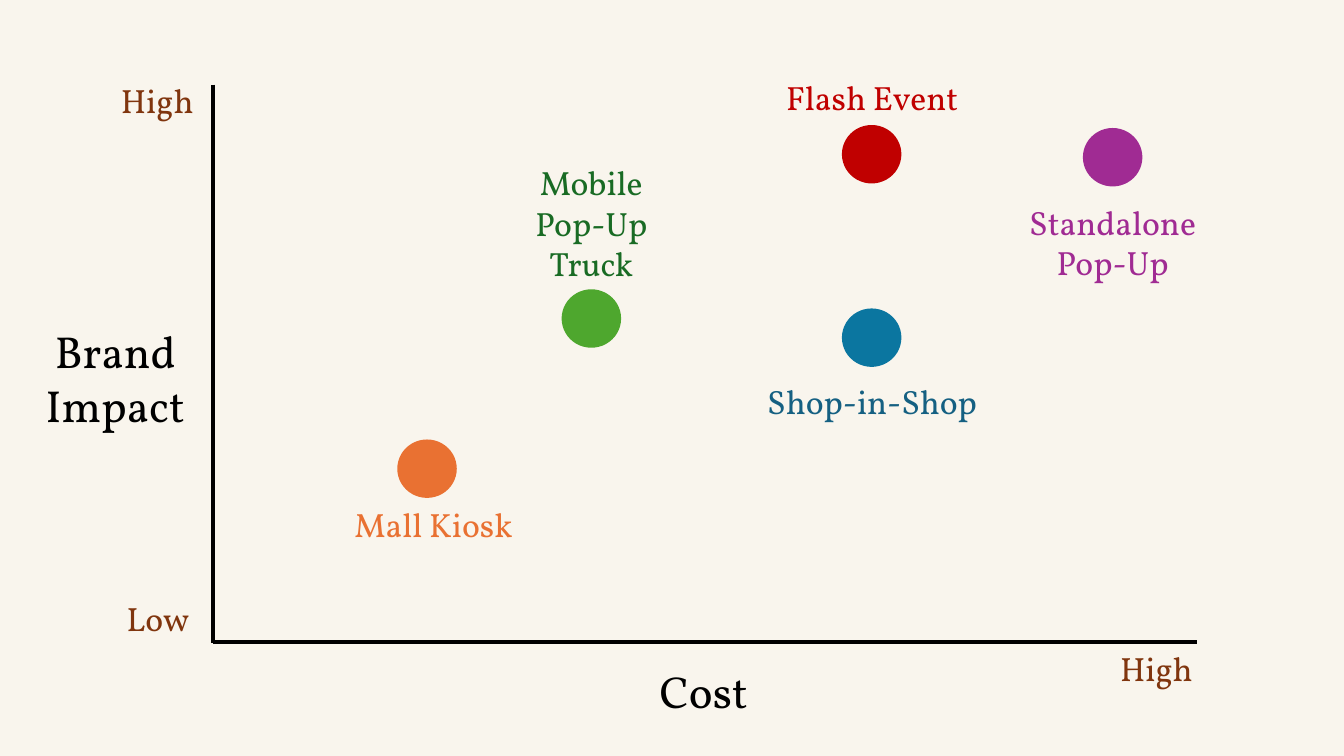
import pptx
import pptx.dml.color
import pptx.enum.shapes
import pptx.enum.text
import pptx.oxml
import pptx.oxml.ns
import pptx.util

Inches = pptx.util.Inches

BACKGROUND = "F9F5ED"
BLACK = "000000"
BROWN = "80350E"
DOT_WIDTH, DOT_HEIGHT = 0.59, 0.58

AXES = [(2.11, 0.84, 2.11, 6.38), (11.87, 6.37, 2.11, 6.37)]

AXIS_LABELS = [
    (["Brand", "Impact"], 0.33, 3.16, 1.63, 1.18, 32, BLACK),
    (["Cost"], 6.42, 6.54, 1.12, 0.64, 32, BLACK),
    (["High"], 1.09, 0.74, 0.94, 0.5, 24, BROWN),
    (["Low"], 1.14, 5.88, 0.85, 0.5, 24, BROWN),
    (["High"], 11, 6.38, 0.94, 0.5, 24, BROWN),
]

FORMAT_DOTS = [
    (5.57, 2.87, "4EA72E"),
    (3.94, 4.36, "E97132"),
    (8.35, 1.24, "C00000"),
    (10.74, 1.27, "A02B93"),
    (8.35, 3.06, "0B76A0"),
]

FORMAT_LABELS = [
    (["Mall Kiosk"], 3.41, 4.95, 1.78, 0.5, 24, "E97132"),
    (["Mobile", "Pop-Up", "Truck"], 5.18, 1.56, 1.37, 1.31, 24, "196B24"),
    (["Shop-in-Shop"], 7.46, 3.73, 2.38, 0.5, 24, "156082"),
    (["Flash Event"], 7.67, 0.71, 1.96, 0.5, 24, "C00000"),
    (["Standalone", "Pop-Up"], 10.08, 1.95, 1.91, 0.91, 24, "A02B93"),
]


def paint(target, color):
    """Give a fill a solid colour from a hex string."""
    target.solid()
    target.fore_color.rgb = pptx.dml.color.RGBColor.from_string(color)


def add_axis(slide, start_x, start_y, end_x, end_y):
    """Draw one black axis line without a shadow."""
    axis = slide.shapes.add_connector(
        pptx.enum.shapes.MSO_CONNECTOR.STRAIGHT,
        Inches(start_x), Inches(start_y), Inches(end_x), Inches(end_y))
    axis.line.width = pptx.util.Pt(3)
    paint(axis.line.fill, BLACK)
    properties = axis.element.find(pptx.oxml.ns.qn("p:spPr"))
    properties.append(pptx.oxml.parse_xml(
        f"<a:effectLst {pptx.oxml.ns.nsdecls('a')}/>"))


def add_dot(slide, left, top, color):
    """Draw the dot that places one retail format on the chart."""
    dot = slide.shapes.add_shape(
        pptx.enum.shapes.MSO_SHAPE.OVAL,
        Inches(left), Inches(top), Inches(DOT_WIDTH), Inches(DOT_HEIGHT))
    dot.shadow.inherit = False
    dot.line.fill.background()
    paint(dot.fill, color)


def add_label(slide, lines, left, top, width, height, size, color):
    """Write a centred label with one paragraph per line."""
    box = slide.shapes.add_textbox(
        Inches(left), Inches(top), Inches(width), Inches(height))
    frame = box.text_frame
    frame.word_wrap = False
    frame.auto_size = pptx.enum.text.MSO_AUTO_SIZE.SHAPE_TO_FIT_TEXT
    frame.text = "\n".join(lines)
    for para in frame.paragraphs:
        para.alignment = pptx.enum.text.PP_ALIGN.CENTER
        para.font.name = "Vollkorn"
        para.font.size = pptx.util.Pt(size)
        paint(para.font.fill, color)


def main():
    """Build the cost and brand impact slide."""
    deck = pptx.Presentation()
    deck.slide_width = Inches(13.33)
    deck.slide_height = Inches(7.5)
    slide = deck.slides.add_slide(deck.slide_layouts.get_by_name("Blank"))
    paint(slide.background.fill, BACKGROUND)
    for axis in AXES:
        add_axis(slide, *axis)
    for dot in FORMAT_DOTS:
        add_dot(slide, *dot)
    for label in AXIS_LABELS + FORMAT_LABELS:
        add_label(slide, *label)
    deck.save("out.pptx")


if __name__ == "__main__":
    main()
